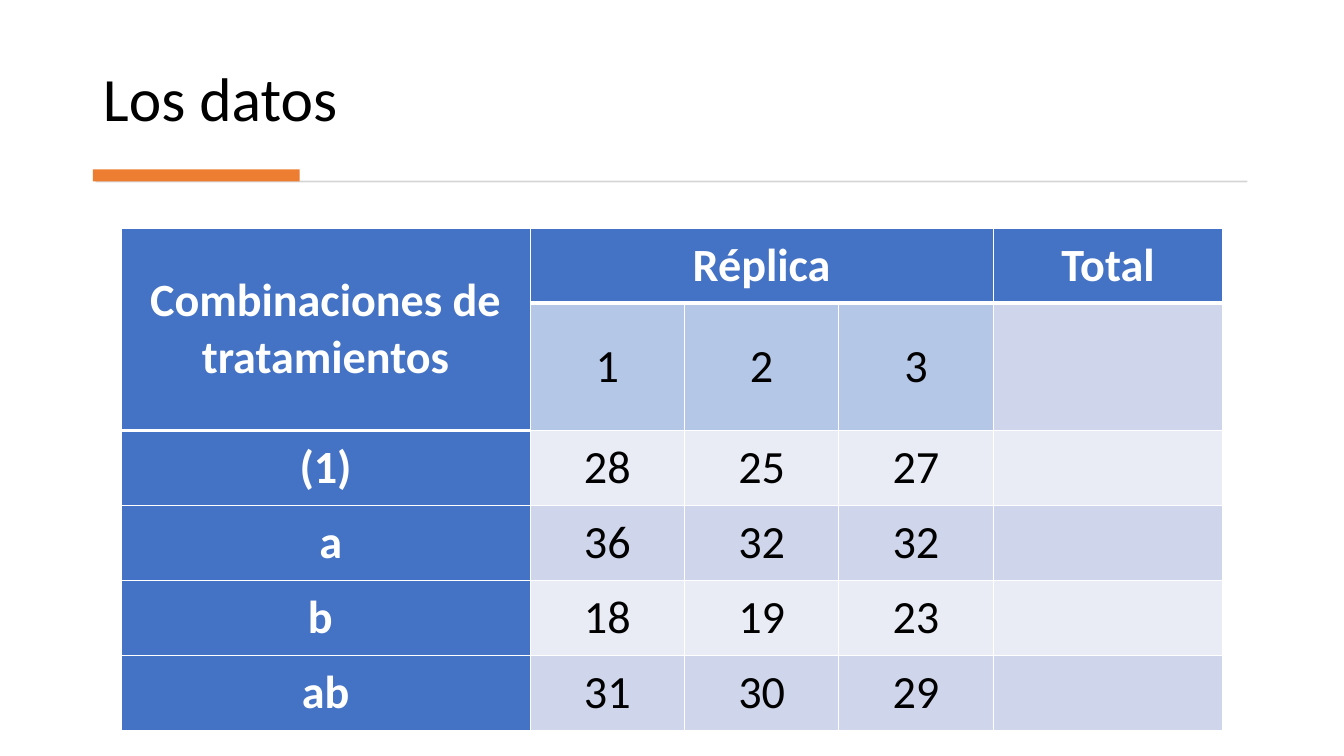
from dataclasses import dataclass

from lxml.etree import SubElement
from pptx import Presentation
from pptx.dml.color import RGBColor
from pptx.enum.shapes import MSO_SHAPE as Shape
from pptx.enum.text import MSO_ANCHOR as Anchor, MSO_AUTO_SIZE as AutoSize, PP_ALIGN as Align
from pptx.oxml.ns import qn
from pptx.util import Cm, Pt

FONT = "Calibri"
BLACK, WHITE, ORANGE, GREY = "000000", "FFFFFF", "ED7D31", "D5D5D5"
BLUE, LIGHT_BLUE, BANDS = "4472C4", "B4C7E7", ("E9EBF5", "CFD5EA")
COLUMN_WIDTHS = (10.31, 3.89, 3.89, 3.89, 5.79)
ROW_HEIGHT = 1.89
ROWS = (
    ("Combinaciones de tratamientos", "Réplica", "", "", "Total"),
    ("", "1", "2", "3", ""),
    ("(1)", "28", "25", "27", ""),
    (" a", "36", "32", "32", ""),
    ("b ", "18", "19", "23", ""),
    ("ab", "31", "30", "29", ""),
)


@dataclass(frozen=True)
class Bar:
    left: float
    top: float
    width: float
    height: float
    color: str


BARS = (
    Bar(2.41, 4.55, 29.03, 0.05, GREY),
    Bar(2.34, 4.27, 5.21, 0.3, ORANGE),
)


def rgb(color: str) -> RGBColor:
    return RGBColor.from_string(color)


def write(frame, text: str, *, size: float, color: str = BLACK, bold: bool = False,
          align=Align.CENTER, spacing: float = 1.0) -> None:
    para = frame.paragraphs[0]
    para.alignment = align
    para.line_spacing = spacing
    span = para.add_run()
    span.text = text
    font = span.font
    font.name, font.size, font.bold = FONT, Pt(size), bold
    font.color.rgb = rgb(color)


def draw_bar(page, bar: Bar) -> None:
    box = page.shapes.add_shape(
        Shape.RECTANGLE, Cm(bar.left), Cm(bar.top), Cm(bar.width), Cm(bar.height))
    box.shadow.inherit = False
    box.fill.solid()
    box.fill.fore_color.rgb = rgb(bar.color)
    box.line.fill.background()


def set_borders(cell, top: float, bottom: float) -> None:
    properties = cell._tc.get_or_add_tcPr()
    for side, width in (("L", 1), ("R", 1), ("T", top), ("B", bottom)):
        line = SubElement(properties, qn(f"a:ln{side}"), w=str(Pt(width)))
        fill = SubElement(line, qn("a:solidFill"))
        SubElement(fill, qn("a:srgbClr"), val=WHITE)


def cell_color(row: int, column: int) -> str:
    if row == 0 or column == 0:
        return BLUE
    if row == 1 and column < len(COLUMN_WIDTHS) - 1:
        return LIGHT_BLUE
    return BANDS[row % 2]


def format_cell(cell, text: str, row: int, column: int) -> None:
    header_end = 1 if column == 0 else 0
    set_borders(cell, top=3 if row == header_end + 1 else 1,
                bottom=3 if row == header_end else 1)
    color = cell_color(row, column)
    cell.fill.solid()
    cell.fill.fore_color.rgb = rgb(color)
    cell.vertical_anchor = Anchor.MIDDLE
    cell.margin_left = cell.margin_right = Cm(0.36)
    cell.margin_top = cell.margin_bottom = Cm(0.18)
    if text:
        heading = color == BLUE
        write(cell.text_frame, text, size=33, bold=heading, color=WHITE if heading else BLACK)


def draw_table(page, left: float, top: float) -> None:
    table = page.shapes.add_table(
        len(ROWS), len(COLUMN_WIDTHS), Cm(left), Cm(top),
        Cm(sum(COLUMN_WIDTHS)), Cm(ROW_HEIGHT * len(ROWS))).table
    for column, width in zip(table.columns, COLUMN_WIDTHS):
        column.width = Cm(width)
    for row in table.rows:
        row.height = Cm(ROW_HEIGHT)
    for row, texts in enumerate(ROWS):
        for column, text in enumerate(texts):
            format_cell(table.cell(row, column), text, row, column)
    table.cell(0, 0).merge(table.cell(1, 0))
    table.cell(0, 1).merge(table.cell(0, 3))


def draw_title(page, text: str) -> None:
    title = page.shapes.title
    title.left, title.top, title.width, title.height = Cm(2.34), Cm(0.71), Cm(29.18), Cm(2.82)
    frame = title.text_frame
    frame.word_wrap = True
    frame.auto_size = AutoSize.NONE
    frame.vertical_anchor = Anchor.BOTTOM
    write(frame, text, size=44, align=Align.LEFT, spacing=0.9)


deck = Presentation()
deck.slide_width, deck.slide_height = Cm(33.87), Cm(19.05)
page = deck.slides.add_slide(deck.slide_layouts[5])
draw_title(page, "Los datos")
for bar in BARS:
    draw_bar(page, bar)
draw_table(page, left=3.05, top=5.75)
deck.save("out.pptx")
